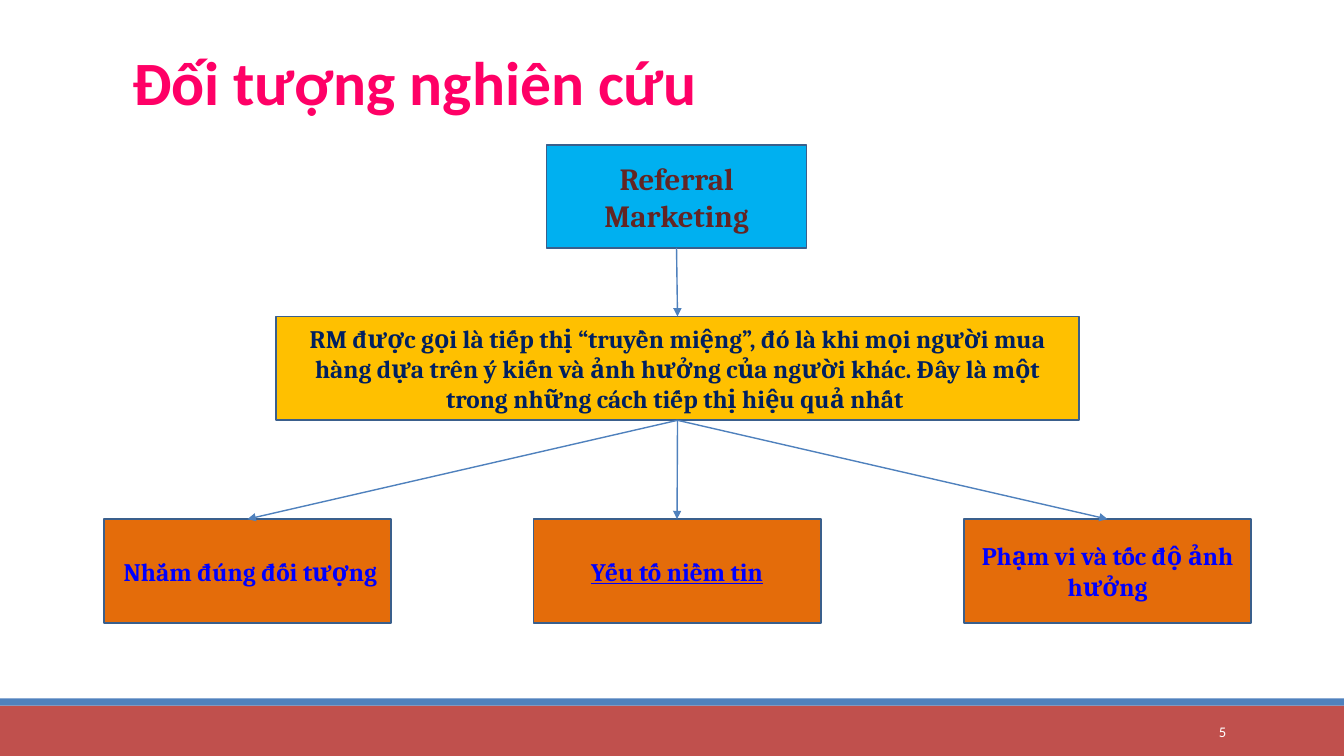
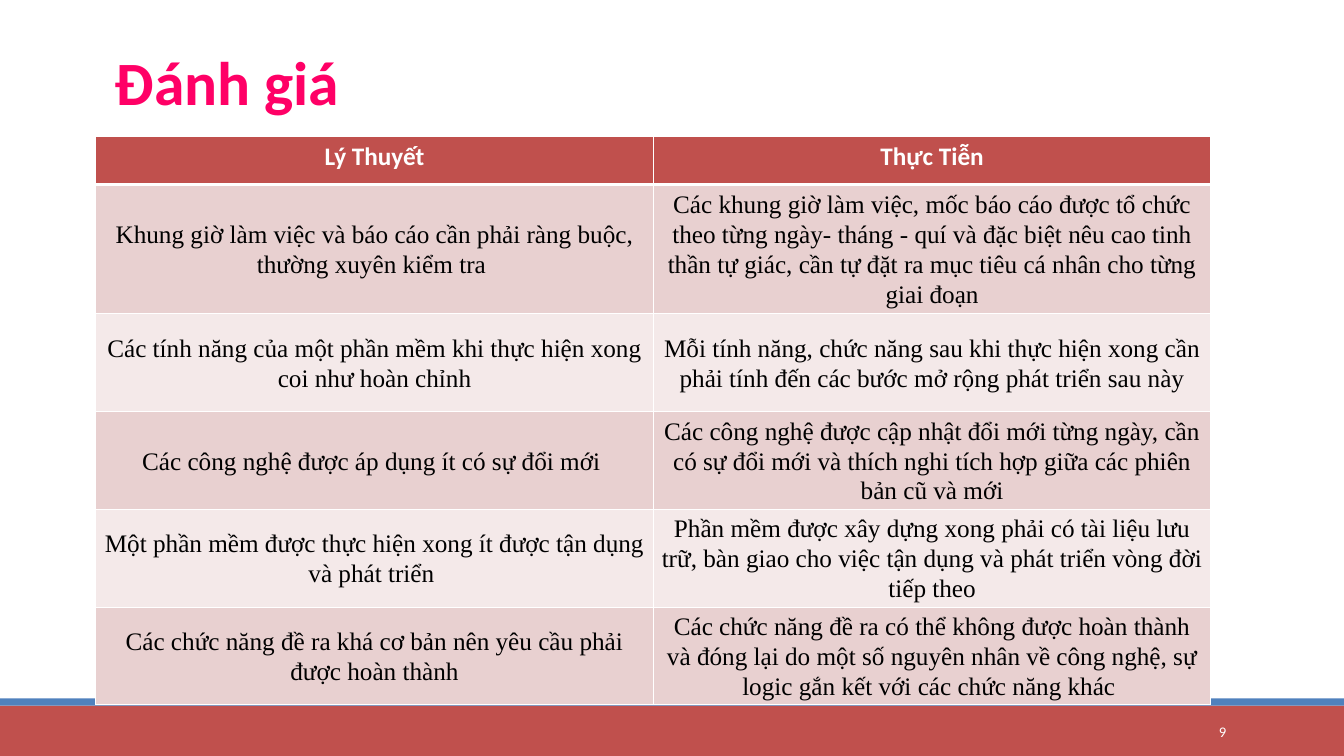
from dataclasses import dataclass

from lxml import etree
from pptx import Presentation
from pptx.dml.color import RGBColor
from pptx.enum.shapes import MSO_CONNECTOR, MSO_SHAPE
from pptx.enum.text import MSO_ANCHOR, MSO_AUTO_SIZE, PP_ALIGN
from pptx.oxml.ns import qn
from pptx.util import Pt

RECT = MSO_SHAPE.RECTANGLE
LINE = MSO_CONNECTOR.STRAIGHT
TOP, MIDDLE = MSO_ANCHOR.TOP, MSO_ANCHOR.MIDDLE
LEFT, CENTER, RIGHT = PP_ALIGN.LEFT, PP_ALIGN.CENTER, PP_ALIGN.RIGHT
NO_FIT = MSO_AUTO_SIZE.NONE

SCALE = 9144  # EMU in one px, 100 px to the inch
WIDE, HIGH = 1333, 750
TITLE_ONLY = 5  # layout index


@dataclass(frozen=True)
class Theme:
    # Fonts
    sans: str = "Calibri"
    serif: str = "Cambria"
    roman: str = "Times New Roman"
    # Type sizes
    head: int = 44
    top: int = 22
    body: int = 18
    foot: float = 10.5
    # Colours
    white: str = "FFFFFF"
    black: str = "000000"
    pink: str = "FF0066"
    red: str = "C0504D"
    blue: str = "4F81BD"
    edge: str = "3A5F8C"
    sky: str = "00B0F0"
    wine: str = "632523"
    gold: str = "FFC000"
    navy: str = "002060"
    orange: str = "E46C0A"
    link: str = "0000FF"
    rows: tuple = ("E8D0D0", "F4E9E9")


def px(*sizes):
    return [size * SCALE for size in sizes]


def rgb(code):
    return RGBColor.from_string(code)


class Deck:
    def __init__(self, theme):
        self.theme = theme
        self.file = Presentation()
        self.file.slide_width, self.file.slide_height = px(WIDE, HIGH)
        self.slide = None

    def page(self, title, number, indent=0):
        """Start a slide with its bands, title and page number."""
        look = self.theme
        layout = self.file.slide_layouts[TITLE_ONLY]
        self.slide = self.file.slides.add_slide(layout)
        self.block((0, 700, WIDE, 50), look.red)
        self.block((0, 693, WIDE, 7), look.blue)
        self.title(title, indent)
        self.label((1083, 706, 143, 40), str(number))

    def style(self, frame, text, font, size, color, bold=False,
              align=CENTER, under=None):
        frame.text = text
        line = frame.paragraphs[0]
        line.alignment = align
        for run in line.runs:
            run.font.name = font
            run.font.size = Pt(size)
            run.font.color.rgb = rgb(color)
            run.font.bold = bold
            run.font.underline = under
        return line

    def title(self, text, indent):
        look = self.theme
        shape = self.slide.shapes.title
        shape.left, shape.top, shape.width, shape.height = px(114, 47, 1020, 78)
        frame = shape.text_frame
        frame.auto_size, frame.word_wrap = NO_FIT, True
        frame.vertical_anchor = TOP
        frame.margin_left, frame.margin_right = px(indent, 0)
        line = self.style(frame, text, look.sans, look.head, look.pink,
                          True, LEFT)
        line.line_spacing = 0.9

    def label(self, area, text):
        look = self.theme
        frame = self.slide.shapes.add_textbox(*px(*area)).text_frame
        frame.word_wrap = True
        frame.vertical_anchor = MIDDLE
        self.style(frame, text, look.sans, look.foot, look.white, align=RIGHT)

    def block(self, area, fill):
        shape = self.slide.shapes.add_shape(RECT, *px(*area))
        shape.shadow.inherit = False
        shape.fill.solid()
        shape.fill.fore_color.rgb = rgb(fill)
        shape.line.fill.background()
        return shape

    def box(self, area, text, fill, color, size, under=None):
        look = self.theme
        shape = self.block(area, fill)
        shape.line.color.rgb = rgb(look.edge)
        shape.line.width = Pt(1.25)
        self.style(shape.text_frame, text, look.serif, size, color,
                   True, under=under)
        return shape

    def arrow(self, start, end):
        """Join the bottom of one box to the top of another."""
        link = self.slide.shapes.add_connector(LINE, 0, 0, 0, 0)
        link.begin_connect(start, 2)
        link.end_connect(end, 0)
        link.line.color.rgb = rgb(self.theme.blue)
        link.line.width = Pt(1)
        props = link._element.spPr
        etree.SubElement(props.find(qn("a:ln")), qn("a:tailEnd"),
                         type="triangle")
        etree.SubElement(props, qn("a:effectLst"))

    def edges(self, cell, base):
        props = cell._tc.get_or_add_tcPr()
        for side, width in (("L", 1), ("R", 1), ("T", 1), ("B", base)):
            line = etree.SubElement(props, qn("a:ln" + side), w=str(Pt(width)))
            fill = etree.SubElement(line, qn("a:solidFill"))
            etree.SubElement(fill, qn("a:srgbClr"), val=self.theme.white)

    def cell(self, cell, text, row):
        look = self.theme
        is_head = row == 0
        self.edges(cell, 3 if is_head else 1)
        cell.fill.solid()
        if is_head:
            cell.fill.fore_color.rgb = rgb(look.red)
            self.style(cell.text_frame, text, look.sans, look.body,
                       look.white, True)
            return
        cell.fill.fore_color.rgb = rgb(look.rows[(row - 1) % 2])
        cell.vertical_anchor = MIDDLE
        cell.margin_left, cell.margin_right = px(7, 7)
        cell.margin_top = cell.margin_bottom = 0
        line = self.style(cell.text_frame, text, look.roman, look.body,
                          look.black)
        line.line_spacing = 1.07

    def table(self, area, data, heights):
        table = self.slide.shapes.add_table(
            len(data), len(data[0]), *px(*area)).table
        table.horz_banding = False
        for row, texts in enumerate(data):
            table.rows[row].height = px(heights[row])[0]
            for col, text in enumerate(texts):
                self.cell(table.cell(row, col), text, row)


def main():
    look = Theme()
    deck = Deck(look)

    # Research subject: a tree of boxes
    deck.page("Đối tượng nghiên cứu", 5, indent=17)
    root = deck.box((542, 144, 258, 102), "Referral Marketing",
                    look.sky, look.wine, look.top)
    idea = deck.box(
        (274, 314, 796, 103),
        "RM được gọi là tiếp thị “truyền miệng”, đó là khi mọi người mua "
        "hàng dựa trên ý kiến và ảnh hưởng của người khác. Đây là một "
        "trong những cách tiếp thị hiệu quả nhất ",
        look.gold, look.navy, look.body)
    deck.arrow(root, idea)
    leaves = ((" Nhắm đúng đối tượng", None),
              ("Yếu tố niềm tin", True),
              ("Phạm vi và tốc độ ảnh hưởng", None))
    for i, (text, under) in enumerate(leaves):
        leaf = deck.box((103 + i * 853 // 2, 515, 285, 103), text,
                        look.orange, look.link, look.body, under)
        deck.arrow(idea, leaf)

    # Review: theory against practice
    deck.page("Đánh giá", 9)
    data = (
        ("Lý Thuyết", "Thực Tiễn"),
        ("Khung giờ làm việc và báo cáo cần phải ràng buộc, thường xuyên "
         "kiểm tra ",
         "Các khung giờ làm việc, mốc báo cáo được tổ chức theo từng ngày- "
         "tháng - quí và đặc biệt nêu cao tinh thần tự giác, cần tự đặt ra "
         "mục tiêu cá nhân cho từng giai đoạn"),
        ("Các tính năng của một phần mềm khi thực hiện xong coi như hoàn chỉnh",
         "Mỗi tính năng, chức năng sau khi thực hiện xong cần phải tính đến "
         "các bước mở rộng phát triển sau này"),
        ("Các công nghệ được áp dụng ít có sự đổi mới ",
         "Các công nghệ được cập nhật đổi mới từng ngày, cần có sự đổi mới "
         "và thích nghi tích hợp giữa các phiên bản cũ và mới"),
        ("Một phần mềm được thực hiện xong ít được tận dụng và phát triển ",
         "Phần mềm được xây dựng xong phải có tài liệu lưu trữ, bàn giao cho "
         "việc tận dụng và phát triển vòng đời tiếp theo"),
        ("Các chức năng đề ra khá cơ bản nên yêu cầu phải được hoàn thành",
         "Các chức năng đề ra có thể không được hoàn thành và đóng lại do "
         "một số nguyên nhân về công nghệ, sự logic gắn kết với các chức "
         "năng khác "),
    )
    deck.table((95, 135, 1106, 533), data, [48] + [97] * 5)

    deck.file.save("out.pptx")


if __name__ == "__main__":
    main()
